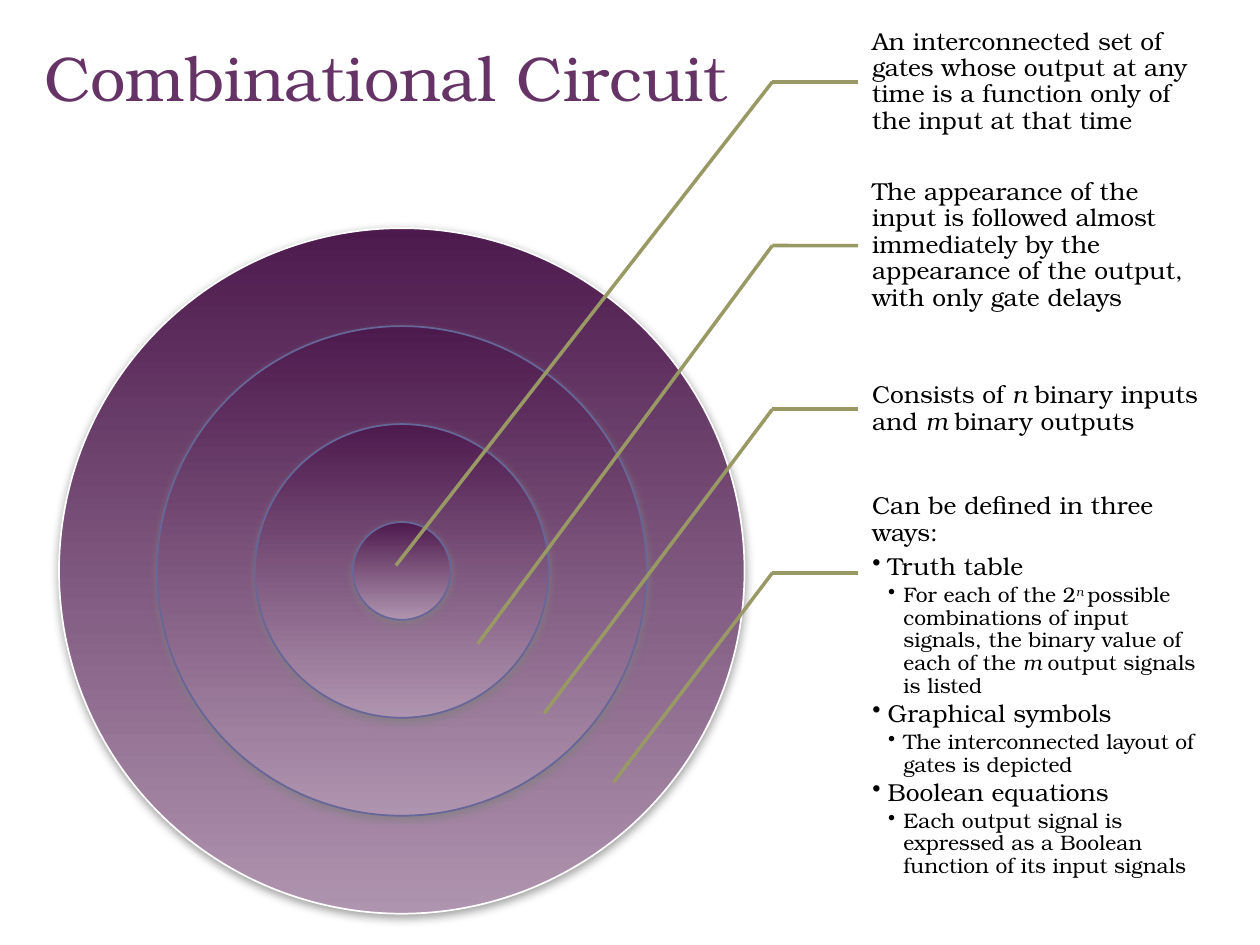
import pptx
import pptx.dml.color
import pptx.enum.shapes
import pptx.enum.text
import pptx.oxml
import pptx.oxml.ns
import pptx.util
from lxml import etree
from pptx.util import Cm

FONT = "TeX Gyre Bonum"
COLORS = {"title": "663366", "body": "000000", "dark": "4D1A4D", "light": "AF94AF",
          "outer_edge": "FFFFFF", "inner_edge": "666699", "leader": "999966", "shadow": "808080"}

TITLE = [(0, ["Combinational Circuit"])]
NOTES = [
    [(0, ["An interconnected set of gates whose output at any time is a function only of the input at that time"])],
    [(0, ["The appearance of the input is followed almost immediately by the appearance of the output, "
          "with only gate delays"])],
    [(0, ["Consists of ", ("n ", "italic"), "binary inputs and ", ("m ", "italic"), "binary outputs"])],
    [(0, ["Can be defined in three ways:"]),
     (1, ["Truth table"]),
     (2, ["For each of the 2", ("n ", "superscript"),
          "possible combinations of input signals, the binary value of each of the ",
          ("m ", "italic"), "output signals is listed"]),
     (1, ["Graphical symbols"]),
     (2, ["The interconnected layout of gates is depicted"]),
     (1, ["Boolean equations"]),
     (2, ["Each output signal is expressed as a Boolean function of its input signals"])],
]
LEADER_TIPS = [(7.98, 11.4), (9.63, 12.98), (10.97, 14.38), (12.37, 15.77)]

CENTER_X, CENTER_Y = 8.1, 11.51
CORE_DIAMETER, RING_STEP = 1.97, 3.95
NOTE_LEFT, NOTE_WIDTH, NOTE_HEIGHT = 17.3, 6.91, 3.3
ELBOW_X = 15.57
BULLET_INDENT = 0.31
LEVEL_SIZES = (14, 14, 12)
LEVEL_GAPS = (4.5, 2, 2)


def rgb(name):
    return pptx.dml.color.RGBColor.from_string(COLORS[name])


def write_text(frame, paragraphs, sizes=LEVEL_SIZES, color="body", anchor="TOP",
               margins=(0.28, 0.05, 0.05, 0.05), line_spacing=0.9, gaps=LEVEL_GAPS):
    frame.word_wrap = True
    frame.auto_size = pptx.enum.text.MSO_AUTO_SIZE.NONE
    frame.vertical_anchor = pptx.enum.text.MSO_ANCHOR[anchor]
    (frame.margin_left, frame.margin_top,
     frame.margin_right, frame.margin_bottom) = map(Cm, margins)
    for index, (level, runs) in enumerate(paragraphs):
        paragraph = frame.add_paragraph() if index else frame.paragraphs[0]
        if level:
            properties = paragraph._p.get_or_add_pPr()
            properties.set("marL", str(Cm(BULLET_INDENT * level * 1.02)))
            properties.set("indent", str(-Cm(BULLET_INDENT)))
            bullet = etree.SubElement(properties, pptx.oxml.ns.qn("a:buChar"))
            bullet.set("char", "•")
        paragraph.alignment = pptx.enum.text.PP_ALIGN.LEFT
        paragraph.line_spacing = line_spacing
        paragraph.space_before = pptx.util.Pt(0)
        paragraph.space_after = pptx.util.Pt(gaps[level])
        for part in runs:
            wording, style = (part, None) if isinstance(part, str) else part
            run = paragraph.add_run()
            run.text = wording
            run.font.name = FONT
            run.font.size = pptx.util.Pt(sizes[level])
            run.font.color.rgb = rgb(color)
            run.font.italic = style is not None
            if style == "superscript":
                run._r.get_or_add_rPr().set("baseline", "30000")


def add_ring(slide, diameter, edge):
    ring = slide.shapes.add_shape(
        pptx.enum.shapes.MSO_SHAPE.OVAL, Cm(CENTER_X - diameter / 2),
        Cm(CENTER_Y - diameter / 2), Cm(diameter), Cm(diameter))
    ring.fill.gradient()
    ring.fill.gradient_angle = 270
    for stop, shade in zip(ring.fill.gradient_stops, ("dark", "light")):
        stop.color.rgb = rgb(shade)
    ring.line.color.rgb = rgb(edge)
    ring.line.width = pptx.util.Pt(1)
    ring.shadow.inherit = False
    effects = ring._element.spPr.find(pptx.oxml.ns.qn("a:effectLst"))
    effects.append(pptx.oxml.parse_xml(
        f'<a:outerShdw {pptx.oxml.ns.nsdecls("a")} blurRad="63500" dist="25400" '
        f'dir="5400000" rotWithShape="0"><a:srgbClr val="{COLORS["shadow"]}">'
        '<a:alpha val="75000"/></a:srgbClr></a:outerShdw>'))


def add_leader(slide, start, end, note=None):
    leader = slide.shapes.add_connector(
        pptx.enum.shapes.MSO_CONNECTOR.STRAIGHT, *map(Cm, start + end))
    if note is not None:
        leader.end_connect(note, 1)
    leader.line.color.rgb = rgb("leader")
    leader.line.width = pptx.util.Pt(2)
    etree.SubElement(leader._element.spPr, pptx.oxml.ns.qn("a:effectLst"))


def main():
    deck = pptx.Presentation()
    deck.slide_width, deck.slide_height = Cm(25.4), Cm(19.05)
    slide = deck.slides.add_slide(deck.slide_layouts[5])

    title = slide.shapes.title
    title.left, title.top, title.width, title.height = Cm(0.64), Cm(0.64), Cm(20.98), Cm(3.1)
    write_text(title.text_frame, TITLE, sizes=(36,), color="title",
               margins=(0.25, 0.13, 0.25, 0.13), line_spacing=1.0, gaps=(0,))

    for ring in reversed(range(4)):
        add_ring(slide, CORE_DIAMETER + ring * RING_STEP,
                 "outer_edge" if ring == 3 else "inner_edge")

    for row, (paragraphs, tip) in enumerate(zip(NOTES, LEADER_TIPS)):
        top = row * NOTE_HEIGHT
        note = slide.shapes.add_textbox(Cm(NOTE_LEFT), Cm(top), Cm(NOTE_WIDTH), Cm(NOTE_HEIGHT))
        write_text(note.text_frame, paragraphs,
                   anchor="MIDDLE" if len(paragraphs) == 1 else "TOP")
        elbow = (ELBOW_X, top + NOTE_HEIGHT / 2)
        add_leader(slide, elbow, (NOTE_LEFT, elbow[1]), note)
        add_leader(slide, elbow, tip)

    deck.save("out.pptx")


if __name__ == "__main__":
    main()
